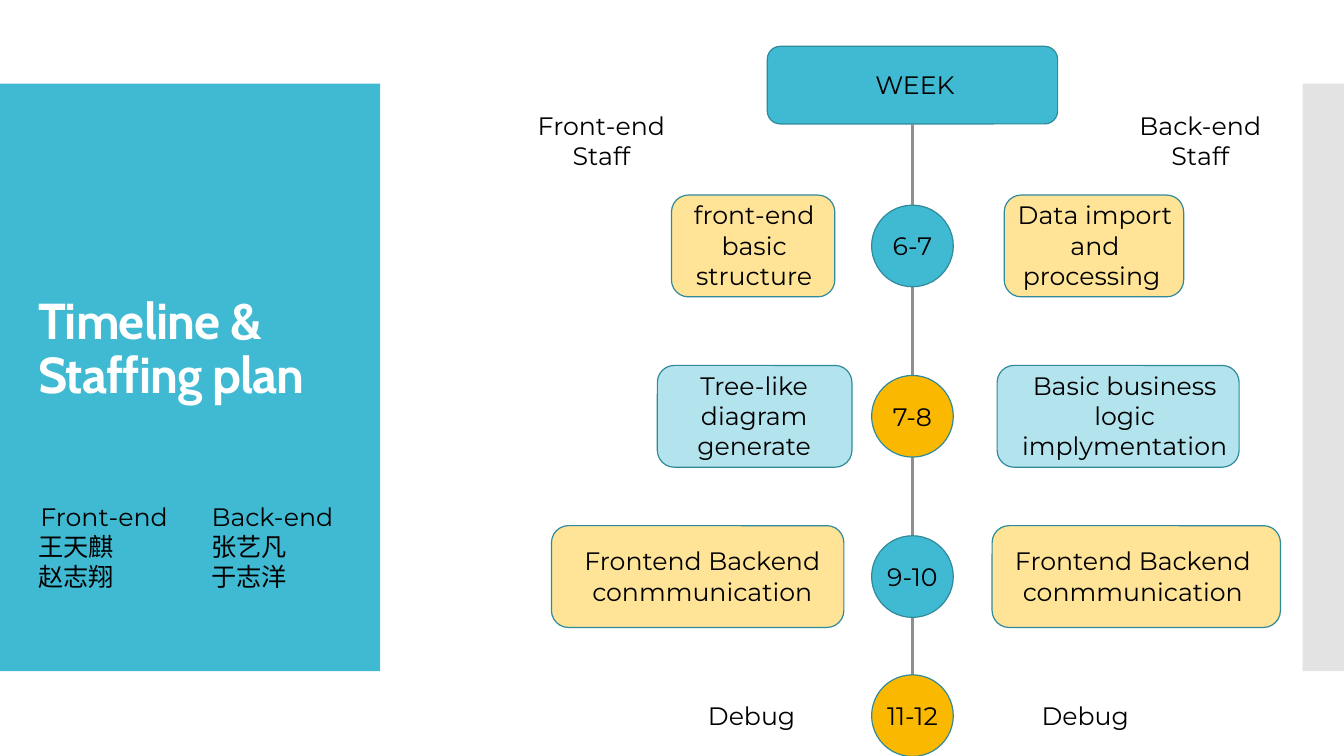
from pptx import Presentation
from pptx.dml.color import RGBColor
from pptx.enum.shapes import MSO_CONNECTOR, MSO_SHAPE
from pptx.enum.text import MSO_ANCHOR, MSO_AUTO_SIZE, PP_ALIGN
from pptx.oxml.ns import qn
from pptx.util import Inches, Pt
from lxml.etree import SubElement

THEME = {
    "teal": "40BAD2", "pale_teal": "B3E3ED", "amber": "FAB900", "pale_amber": "FFE497",
    "outline": "2F8A9B", "axis": "8F8F8F", "side": "C8C8C8", "white": "FFFFFF", "ink": "000000",
    "title_font": "Cabin", "body_font": "Montserrat",
    "title_size": 36, "body_size": 18, "outline_width": 0.85, "axis_width": 2.25,
}

TITLE = "Timeline &\vStaffing plan"
HEADER = "WEEK"
TEAMS = [
    (0.28, ["Front-end ", "王天麒", "赵志翔"], PP_ALIGN.CENTER),
    (2.0, ["Back-end", "张艺凡", "于志洋"], PP_ALIGN.LEFT),
]
STAFF_HEADS = [(5.18, "Front-end Staff"), (11.12, "Back-end Staff")]

# Each task: text, line count, (label left, width), (card left, width)
STAGES = [
    ("6-7", 2.44, "teal", "pale_amber", [
        ("front-end basic structure", 3, (6.67, 1.62), (6.66, 1.62)),
        ("Data import and processing ", 3, (9.84, 2.04), (9.96, 1.78))]),
    ("7-8", 4.13, "amber", "pale_teal", [
        ("Tree-like diagram generate", 3, (6.67, 1.62), (6.52, 1.93)),
        ("Basic business logic implymentation", 3, (9.84, 2.63), (9.89, 2.4))]),
    ("9-10", 5.72, "teal", "pale_amber", [
        ("Frontend Backend conmmunication", 2, (5.57, 2.79), (5.47, 2.9)),
        ("Frontend Backend conmmunication", 2, (9.84, 2.79), (9.84, 2.86))]),
    ("11-12", 7.1, "amber", None, [
        ("Debug", 1, (6.63, 1.65), None),
        ("Debug", 1, (9.95, 1.63), None)]),
]

AXIS_X = 9.05
CIRCLE = 0.81
CARD_HEIGHT = 1.01
LABEL_WIDTH = 1.57
LINE_HEIGHT = 0.305
HEADER_TOP, HEADER_WIDTH, HEADER_HEIGHT = 0.46, 2.88, 0.77
PANEL_TOP, PANEL_HEIGHT = 0.83, 5.83


def color(name):
    return RGBColor.from_string(THEME[name])


def add_block(page, kind, left, top, width, height, fill, outlined=True):
    block = page.shapes.add_shape(kind, Inches(left), Inches(top), Inches(width), Inches(height))
    block.shadow.inherit = False
    block.fill.solid()
    block.fill.fore_color.rgb = color(fill)
    if outlined:
        block.line.color.rgb = color("outline")
        block.line.width = Pt(THEME["outline_width"])
    else:
        block.line.fill.background()
    return block


def add_text(page, lines, left, top, width, height, font="body_font", size="body_size",
             ink="ink", bold=False, first_align=PP_ALIGN.CENTER, anchor=MSO_ANCHOR.TOP,
             line_spacing=None, tracking=None, grow=True):
    box = page.shapes.add_textbox(Inches(left), Inches(top), Inches(width), Inches(height))
    frame = box.text_frame
    frame.word_wrap = True
    frame.vertical_anchor = anchor
    frame.auto_size = MSO_AUTO_SIZE.SHAPE_TO_FIT_TEXT if grow else MSO_AUTO_SIZE.NONE
    for index, line in enumerate(lines):
        para = frame.add_paragraph() if index else frame.paragraphs[0]
        para.text = line
        para.alignment = PP_ALIGN.LEFT if index else first_align
        para.line_spacing = line_spacing
        for span in para.runs:
            span.font.name = THEME[font]
            span.font.size = Pt(THEME[size])
            span.font.bold = bold
            span.font.color.rgb = color(ink)
            if tracking is not None:
                span.font._element.set("spc", str(round(tracking * 100)))
    return box


def add_label(page, text, line_count, left, width, middle):
    height = 0.1 + LINE_HEIGHT * line_count
    add_text(page, [text], left, middle - height / 2, width, height)


def add_panels(page):
    add_block(page, MSO_SHAPE.RECTANGLE, 0, PANEL_TOP, 3.77, PANEL_HEIGHT, "teal", outlined=False)
    side = add_block(page, MSO_SHAPE.RECTANGLE, 12.92, PANEL_TOP, 0.41, PANEL_HEIGHT, "side",
                     outlined=False)
    tint = side._element.spPr.find(qn("a:solidFill")).find(qn("a:srgbClr"))
    SubElement(tint, qn("a:alpha")).set("val", "50000")
    title = add_text(page, [TITLE], 0.28, 1.23, 3.22, 5.03, font="title_font",
                     size="title_size", ink="white", bold=True, first_align=PP_ALIGN.LEFT,
                     anchor=MSO_ANCHOR.MIDDLE, line_spacing=0.9, tracking=-0.6, grow=False)
    title.text_frame.margin_bottom = Inches(0.59)
    for left, lines, first_align in TEAMS:
        add_text(page, lines, left, 4.92, LABEL_WIDTH, 1.01, first_align=first_align)


def add_axis(page):
    header = add_block(page, MSO_SHAPE.ROUNDED_RECTANGLE, AXIS_X - HEADER_WIDTH / 2, HEADER_TOP,
                       HEADER_WIDTH, HEADER_HEIGHT, "teal")
    add_label(page, HEADER, 1, 8.29, LABEL_WIDTH, HEADER_TOP + HEADER_HEIGHT / 2)
    axis = page.shapes.add_connector(MSO_CONNECTOR.STRAIGHT, Inches(AXIS_X),
                                     Inches(HEADER_TOP + HEADER_HEIGHT), Inches(AXIS_X), Inches(7.5))
    axis.begin_connect(header, 2)
    axis.line.color.rgb = color("axis")
    axis.line.width = Pt(THEME["axis_width"])
    SubElement(axis._element.spPr, qn("a:effectLst"))
    for left, text in STAFF_HEADS:
        add_label(page, text, 2, left, LABEL_WIDTH, 1.4)


def add_stage(page, weeks, middle, circle_fill, card_fill, tasks):
    add_block(page, MSO_SHAPE.OVAL, AXIS_X - CIRCLE / 2, middle - CIRCLE / 2,
              CIRCLE, CIRCLE, circle_fill)
    add_label(page, weeks, 1, AXIS_X - LABEL_WIDTH / 2, LABEL_WIDTH, middle)
    for text, line_count, (left, width), card in tasks:
        if card:
            add_block(page, MSO_SHAPE.ROUNDED_RECTANGLE, card[0], middle - CARD_HEIGHT / 2,
                      card[1], CARD_HEIGHT, card_fill)
        add_label(page, text, line_count, left, width, middle)


def main():
    deck = Presentation()
    deck.slide_width, deck.slide_height = Inches(13.33), Inches(7.5)
    page = deck.slides.add_slide(deck.slide_layouts[6])
    add_panels(page)
    add_axis(page)
    for stage in STAGES:
        add_stage(page, *stage)
    deck.save("out.pptx")


if __name__ == "__main__":
    main()
